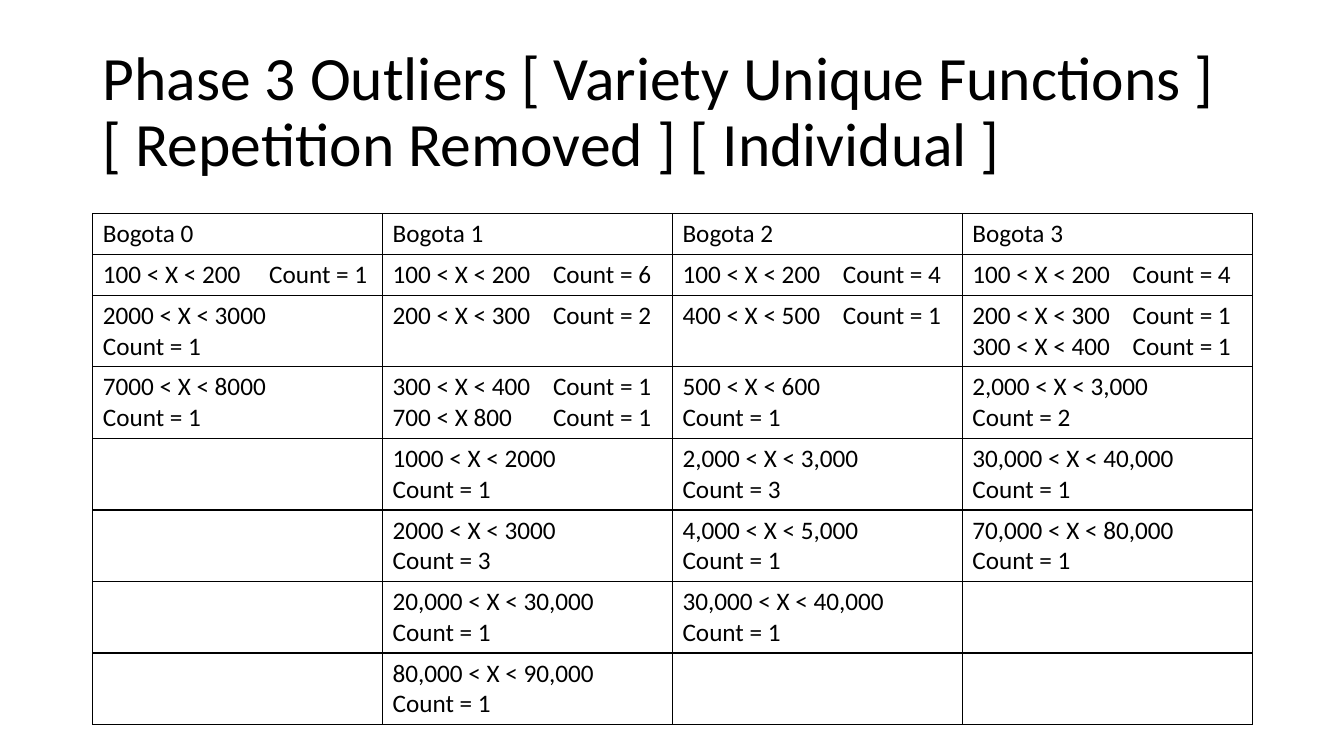
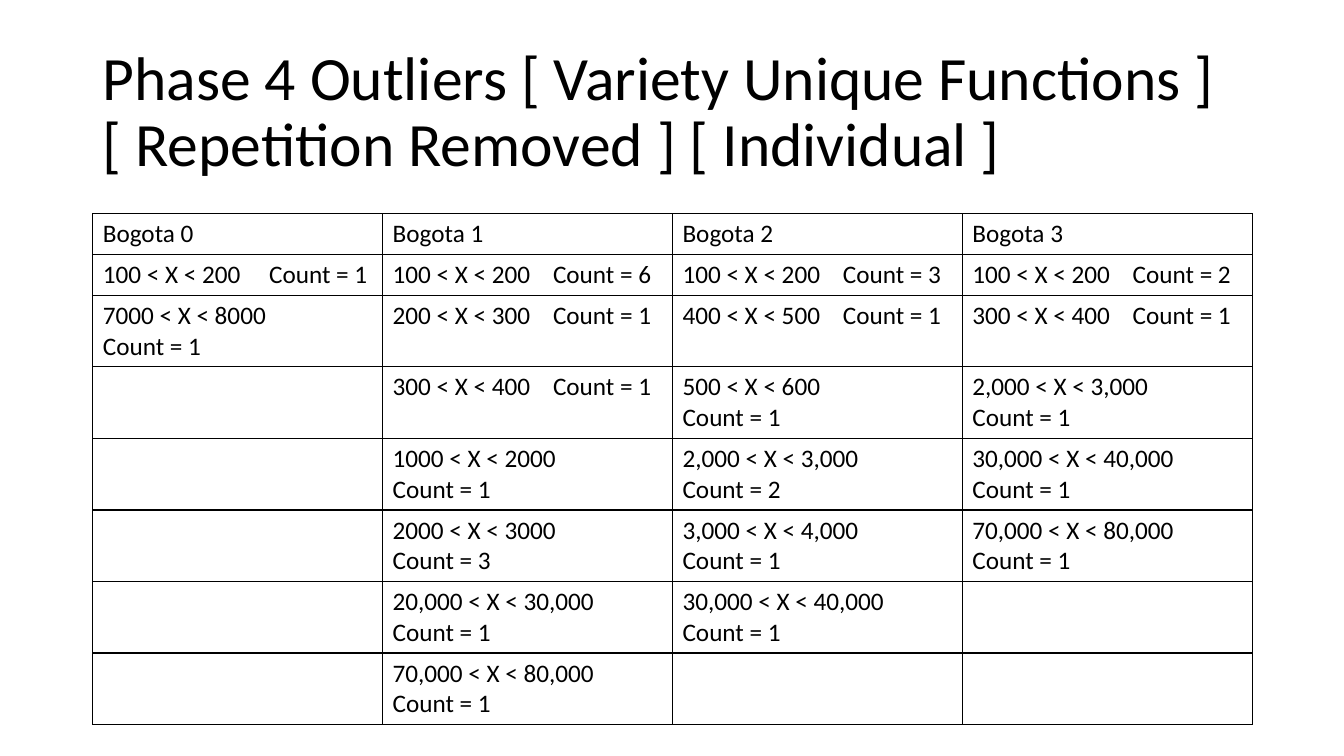
from itertools import zip_longest

from lxml.etree import SubElement
from pptx import Presentation
from pptx.dml.color import RGBColor
from pptx.enum.text import MSO_ANCHOR, PP_ALIGN
from pptx.oxml.ns import qn
from pptx.util import Inches, Pt

COLORS = {"text": "000000", "border": "000000", "background": "FFFFFF"}
FONT = "Calibri"
TITLE_BOX = (0.92, 0.4, 11.5, 1.45)
TABLE_BOX = (0.92, 2.12, 11.5)
TITLE = "Phase {} Outliers [ Variety Unique Functions ] [ Repetition Removed ] [ Individual ]"
CELL_PADDING = 0.1
LINE_HEIGHT = 0.305
COUNT_TABS = (1.65, 1.59, 1.59, 1.59)

PHASES = {
    3: {
        "Bogota 0": [
            "100 < X < 200\tCount = 1",
            "2000 < X < 3000\nCount = 1",
            "7000 < X < 8000\nCount = 1",
        ],
        "Bogota 1": [
            "100 < X < 200\tCount = 6",
            "200 < X < 300\tCount = 2",
            "300 < X < 400\tCount = 1\n700 < X 800\tCount = 1",
            "1000 < X < 2000\nCount = 1",
            "2000 < X < 3000\nCount = 3",
            "20,000 < X < 30,000\nCount = 1",
            "80,000 < X < 90,000\nCount = 1",
        ],
        "Bogota 2": [
            "100 < X < 200\tCount = 4",
            "400 < X < 500\tCount = 1",
            "500 < X < 600\nCount = 1",
            "2,000 < X < 3,000\nCount = 3",
            "4,000 < X < 5,000\nCount = 1",
            "30,000 < X < 40,000\nCount = 1",
        ],
        "Bogota 3": [
            "100 < X < 200\tCount = 4",
            "200 < X < 300\tCount = 1\n300 < X < 400\tCount = 1",
            "2,000 < X < 3,000\nCount = 2",
            "30,000 < X < 40,000\nCount = 1",
            "70,000 < X < 80,000\nCount = 1",
        ],
    },
    4: {
        "Bogota 0": [
            "100 < X < 200\tCount = 1",
            "7000 < X < 8000\nCount = 1",
        ],
        "Bogota 1": [
            "100 < X < 200\tCount = 6",
            "200 < X < 300\tCount = 1",
            "300 < X < 400\tCount = 1",
            "1000 < X < 2000\nCount = 1",
            "2000 < X < 3000\nCount = 3",
            "20,000 < X < 30,000\nCount = 1",
            "70,000 < X < 80,000\nCount = 1",
        ],
        "Bogota 2": [
            "100 < X < 200\tCount = 3",
            "400 < X < 500\tCount = 1",
            "500 < X < 600\nCount = 1",
            "2,000 < X < 3,000\nCount = 2",
            "3,000 < X < 4,000\nCount = 1",
            "30,000 < X < 40,000\nCount = 1",
        ],
        "Bogota 3": [
            "100 < X < 200\tCount = 2",
            "300 < X < 400\tCount = 1",
            "2,000 < X < 3,000\nCount = 1",
            "30,000 < X < 40,000\nCount = 1",
            "70,000 < X < 80,000\nCount = 1",
        ],
    },
}


def write_text(frame, text, size=18, color="text", line_spacing=1.0, tab=None):
    for index, line in enumerate(text.split("\n")):
        paragraph = frame.add_paragraph() if index else frame.paragraphs[0]
        paragraph.alignment = PP_ALIGN.LEFT
        paragraph.line_spacing = line_spacing
        if tab and "\t" in line:
            tab_list = SubElement(paragraph._p.get_or_add_pPr(), qn("a:tabLst"))
            SubElement(tab_list, qn("a:tab"), pos=str(Inches(tab)), algn="l")
        if line:
            run = paragraph.add_run()
            run.text = line
            run.font.name = FONT
            run.font.size = Pt(size)
            run.font.color.rgb = RGBColor.from_string(COLORS[color])


def style_cell(cell):
    properties = cell._tc.get_or_add_tcPr()
    for side in ("lnL", "lnR", "lnT", "lnB"):
        line = SubElement(properties, qn(f"a:{side}"), w=str(Pt(1)))
        fill = SubElement(line, qn("a:solidFill"))
        SubElement(fill, qn("a:srgbClr"), val=COLORS["border"])
    cell.fill.background()


def add_title(slide, box, text):
    shape = slide.shapes.add_textbox(*map(Inches, box))
    frame = shape.text_frame
    frame.word_wrap = True
    frame.vertical_anchor = MSO_ANCHOR.MIDDLE
    write_text(frame, text, size=44, line_spacing=0.9)


def add_outlier_table(slide, box, columns):
    left, top, width = box
    rows = [tuple(columns), *zip_longest(*columns.values(), fillvalue="")]
    heights = [
        CELL_PADDING + LINE_HEIGHT * max(text.count("\n") + 1 for text in row)
        for row in rows
    ]
    size = (left, top, width, sum(heights))
    table = slide.shapes.add_table(len(rows), len(columns), *map(Inches, size)).table
    table.first_row = False
    table.horz_banding = False
    for column in table.columns:
        column.width = Inches(width / len(columns))
    for row_index, (row, height) in enumerate(zip(rows, heights)):
        table.rows[row_index].height = Inches(height)
        for column_index, (text, tab) in enumerate(zip(row, COUNT_TABS)):
            cell = table.cell(row_index, column_index)
            style_cell(cell)
            write_text(cell.text_frame, text, tab=tab)


def add_phase_slide(presentation, phase, columns):
    slide = presentation.slides.add_slide(presentation.slide_layouts[6])
    slide.background.fill.solid()
    slide.background.fill.fore_color.rgb = RGBColor.from_string(COLORS["background"])
    add_title(slide, TITLE_BOX, TITLE.format(phase))
    add_outlier_table(slide, TABLE_BOX, columns)


def main():
    presentation = Presentation()
    presentation.slide_width = Inches(13.33)
    presentation.slide_height = Inches(7.5)
    for phase, columns in PHASES.items():
        add_phase_slide(presentation, phase, columns)
    presentation.save("out.pptx")


if __name__ == "__main__":
    main()
